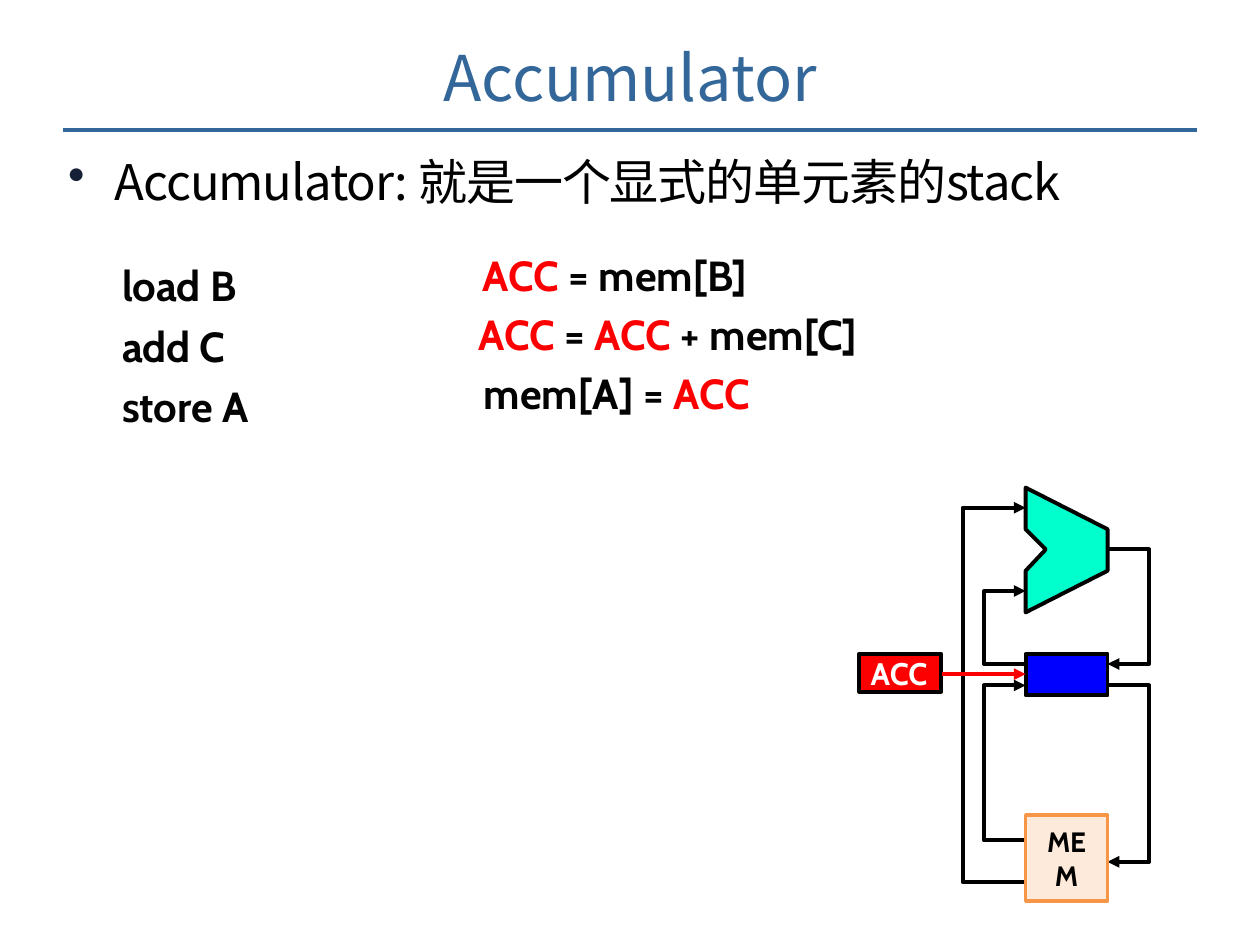
from lxml import etree
from pptx import Presentation
from pptx.dml.color import RGBColor
from pptx.enum.shapes import MSO_CONNECTOR, MSO_SHAPE
from pptx.enum.text import MSO_ANCHOR, PP_ALIGN
from pptx.oxml.ns import qn
from pptx.util import Emu, Pt

PX = 9144  # EMU in one px: 100 px to the inch
BLANK_LAYOUT = 6
RECTANGLE = MSO_SHAPE.RECTANGLE
STRAIGHT = MSO_CONNECTOR.STRAIGHT
CENTER, LEFT = PP_ALIGN.CENTER, PP_ALIGN.LEFT
MIDDLE, TOP = MSO_ANCHOR.MIDDLE, MSO_ANCHOR.TOP

BLACK = RGBColor(0x00, 0x00, 0x00)
INK = RGBColor(0x03, 0x03, 0x04)
WHITE = RGBColor(0xFF, 0xFF, 0xFF)
NAVY = "151F36"
STEEL = RGBColor(0x33, 0x66, 0x99)
RED = RGBColor(0xFC, 0x00, 0x01)
BLUE = RGBColor(0x00, 0x00, 0xFF)
MINT = RGBColor(0x00, 0xFF, 0xCC)
PEACH = RGBColor(0xFD, 0xEA, 0xDA)
ORANGE = RGBColor(0xF7, 0x96, 0x46)

CODE_FONT = "Cabin"
TEXT_FONT = "Noto Sans CJK SC"


def px(length):
    return Emu(length * PX)


def add_run(paragraph, text, size=24, font=CODE_FONT, color=INK, bold=False, spacing=0):
    run = paragraph.add_run()
    run.text = text
    run.font.size = Pt(size)
    run.font.bold = bold
    run.font.color.rgb = color
    run.font.name = font
    properties = run.font._element
    etree.SubElement(properties, qn("a:ea")).set("typeface", font)
    if spacing:
        properties.set("spc", str(round(spacing * 100)))


def format_paragraph(paragraph, align=LEFT, indent=0, hanging=0, line_spacing=None,
                     before=0, after=0, bullet=None):
    paragraph.alignment = align
    paragraph.line_spacing = line_spacing
    paragraph.space_before = Pt(before)
    paragraph.space_after = Pt(after)
    properties = paragraph._p.get_or_add_pPr()
    properties.set("marL", str(px(indent)))
    properties.set("indent", str(px(-hanging)))
    if bullet:
        bullet_color = etree.SubElement(properties, qn("a:buClr"))
        etree.SubElement(bullet_color, qn("a:srgbClr")).set("val", NAVY)
        etree.SubElement(properties, qn("a:buChar")).set("char", bullet)


class SlideBuilder:
    def __init__(self, slide, line_width=2.25):
        self.shapes = slide.shapes
        self.line_width = line_width

    def prepare_frame(self, shape, anchor=TOP, margin=0):
        frame = shape.text_frame
        frame.word_wrap = True
        frame.vertical_anchor = anchor
        frame.margin_left = frame.margin_right = px(margin)
        frame.margin_top = frame.margin_bottom = px(margin // 2)
        return frame

    def style_line(self, line, color, width=None, arrow=False):
        line.color.rgb = color
        line.width = Pt(width or self.line_width)
        if arrow:
            tail = etree.SubElement(line._get_or_add_ln(), qn("a:tailEnd"))
            tail.set("type", "triangle")

    def text_box(self, left, top, width, height, anchor=TOP, margin=0):
        shape = self.shapes.add_textbox(px(left), px(top), px(width), px(height))
        return self.prepare_frame(shape, anchor, margin)

    def box(self, left, top, width, height, fill, line=BLACK, line_width=None,
            anchor=TOP, margin=0):
        shape = self.shapes.add_shape(RECTANGLE, px(left), px(top), px(width), px(height))
        shape.shadow.inherit = False
        shape.fill.solid()
        shape.fill.fore_color.rgb = fill
        self.style_line(shape.line, line, line_width)
        return self.prepare_frame(shape, anchor, margin)

    def outline(self, points, fill=None, arrow=False):
        """Closed when it has a fill, otherwise an open wire."""
        builder = self.shapes.build_freeform(*points[0], scale=PX)
        builder.add_line_segments(points[1:], close=fill is not None)
        shape = builder.convert_to_shape()
        shape.shadow.inherit = False
        if fill is None:
            shape.fill.background()
        else:
            shape.fill.solid()
            shape.fill.fore_color.rgb = fill
        self.style_line(shape.line, BLACK, arrow=arrow)

    def wire(self, start_x, start_y, bend_x, end_y):
        self.outline([(start_x, start_y), (bend_x, start_y), (bend_x, end_y),
                      (start_x, end_y)], arrow=True)

    def line(self, start, end, color, width=None, arrow=False):
        connector = self.shapes.add_connector(STRAIGHT, *map(px, start + end))
        self.style_line(connector.line, color, width, arrow)
        etree.SubElement(connector._element.spPr, qn("a:effectLst"))


def add_heading(builder):
    builder.line((50, 103), (950, 103), STEEL, width=2)
    paragraph = builder.text_box(0, 23, 1000, 75, MIDDLE, margin=10).paragraphs[0]
    format_paragraph(paragraph, align=CENTER)
    add_run(paragraph, "Accumulator", size=36, font=TEXT_FONT, color=STEEL)

    paragraph = builder.text_box(53, 117, 922, 50).paragraphs[0]
    format_paragraph(paragraph, indent=38, hanging=37, line_spacing=Pt(36), after=6, bullet="•")
    add_run(paragraph, "Accumulator: 就是一个显式的单元素的stack", size=28,
            font=TEXT_FONT, color=BLACK, spacing=-0.6)


def add_code(builder):
    # Instructions
    frame = builder.text_box(96, 198, 211, 142)
    for index, (operation, operand) in enumerate([("load ", "B"), ("add ", "C"), ("store ", "A")]):
        paragraph = frame.add_paragraph() if index else frame.paragraphs[0]
        format_paragraph(paragraph, indent=1, line_spacing=1.2)
        add_run(paragraph, operation, bold=True, spacing=-0.1)
        add_run(paragraph, operand, bold=True)

    # Their meaning, with the accumulator in red
    meanings = [
        (4, ["ACC ", "= mem[B]"]),
        (1, ["ACC ", "= ", "ACC ", "+ mem[C]"]),
        (5, ["mem[A] = ", "ACC"]),
    ]
    frame = builder.text_box(379, 198, 417, 135)
    for index, (indent, parts) in enumerate(meanings):
        paragraph = frame.add_paragraph() if index else frame.paragraphs[0]
        format_paragraph(paragraph, indent=indent, before=4.8 if index else 0)
        for part in parts:
            add_run(paragraph, part, bold=True, color=RED if "ACC" in part else INK)


def add_datapath(builder):
    left, right = 814, 879
    width = right - left

    # Arithmetic unit
    builder.outline([(left, 387), (left, 420), (830, 436), (left, 453),
                     (left, 486), (right, 453), (right, 420)], fill=MINT)

    # Wires: from edge, out to the bend, and back to the same edge
    builder.wire(right, 436, 912, 527)
    builder.wire(left, 527, 781, 469)
    builder.wire(left, 700, 764, 403)
    builder.wire(right, 544, 912, 684)
    builder.wire(left, 667, 781, 544)

    # Accumulator register and its label
    builder.box(left, 519, width, 33, BLUE)
    paragraph = builder.box(682, 519, width, 30, RED).paragraphs[0]
    format_paragraph(paragraph, indent=9, before=0.1)
    add_run(paragraph, "ACC", size=17.8, color=WHITE, bold=True)
    builder.line((748, 535), (left, 535), RED, arrow=True)

    # Memory
    frame = builder.box(left, 647, width, 68, PEACH, ORANGE, 2, MIDDLE, margin=10)
    format_paragraph(frame.paragraphs[0], align=CENTER)
    add_run(frame.paragraphs[0], "MEM", size=16, color=BLACK, bold=True)


def main():
    presentation = Presentation()
    presentation.slide_width = px(1000)
    presentation.slide_height = px(750)
    slide = presentation.slides.add_slide(presentation.slide_layouts[BLANK_LAYOUT])
    builder = SlideBuilder(slide)
    add_heading(builder)
    add_code(builder)
    add_datapath(builder)
    presentation.save("out.pptx")


if __name__ == "__main__":
    main()
